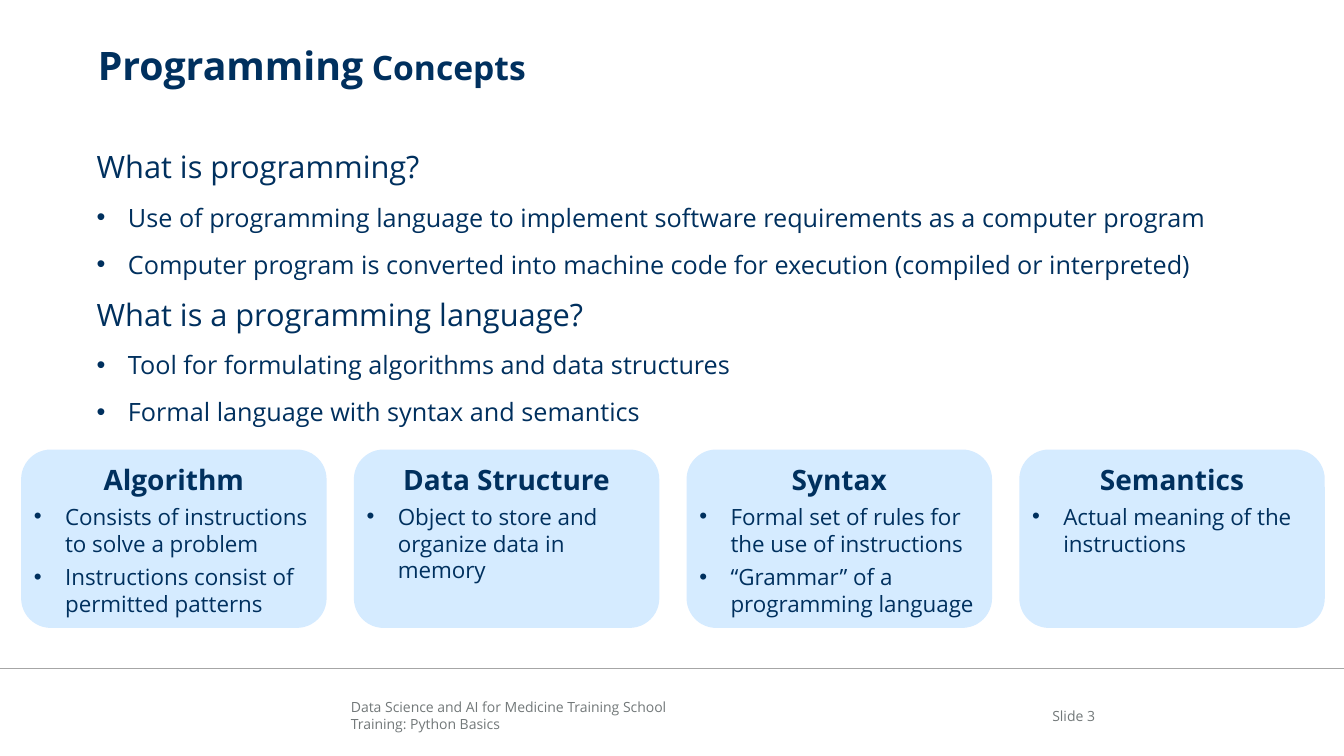
from lxml import etree
from pptx import Presentation
from pptx.dml.color import RGBColor
from pptx.enum.shapes import MSO_CONNECTOR, MSO_SHAPE
from pptx.enum.text import MSO_ANCHOR, PP_ALIGN
from pptx.oxml.ns import qn
from pptx.util import Inches, Pt

LEFT, CENTER, RIGHT = PP_ALIGN.LEFT, PP_ALIGN.CENTER, PP_ALIGN.RIGHT
TOP, MIDDLE = MSO_ANCHOR.TOP, MSO_ANCHOR.MIDDLE
NAVY, GRAY, RULE_GRAY, PALE_BLUE = "00305E", "727879", "A6A6A6", "D5EBFF"


def color(hex_code):
    return RGBColor.from_string(hex_code)


def write(shape, runs, size=18, hex_code=NAVY, bold=False, align=LEFT,
          before=0, bullet=False, inset=0, anchor=TOP, first=False):
    frame = shape.text_frame
    frame.word_wrap = True
    frame.vertical_anchor = anchor
    frame.margin_left = frame.margin_right = Inches(inset)
    frame.margin_top = frame.margin_bottom = Inches(inset)
    paragraph = frame.paragraphs[0] if first else frame.add_paragraph()
    paragraph.alignment = align
    paragraph.space_before = Pt(0 if first else before)
    if bullet:
        properties = paragraph._p.get_or_add_pPr()
        properties.set("marL", str(Inches(0.31)))
        properties.set("indent", str(-Inches(0.31)))
        etree.SubElement(properties, qn("a:buFont")).set("typeface", "Arial")
        etree.SubElement(properties, qn("a:buChar")).set("char", "•")
    for text, run_size in [(runs, size)] if isinstance(runs, str) else runs:
        run = paragraph.add_run()
        run.text = text
        run.font.name = "Open Sans"
        run.font.size = Pt(run_size)
        run.font.bold = bold
        run.font.color.rgb = color(hex_code)


presentation = Presentation()
presentation.slide_width = Inches(13.33)
presentation.slide_height = Inches(7.5)
slide = presentation.slides.add_slide(presentation.slide_layouts[6])
shapes = slide.shapes

footer_rule = shapes.add_connector(
    MSO_CONNECTOR.STRAIGHT, Inches(0), Inches(6.63), Inches(13.33), Inches(6.63))
footer_rule.line.color.rgb = color(RULE_GRAY)
footer_rule.line.width = Pt(1)
etree.SubElement(footer_rule._element.spPr, qn("a:effectLst"))

slide_number = shapes.add_textbox(Inches(9.95), Inches(6.85), Inches(0.91), Inches(0.5))
write(slide_number, "Slide 3", size=10, hex_code=GRAY, align=RIGHT, anchor=MIDDLE, first=True)

footer = shapes.add_textbox(Inches(3.48), Inches(6.93), Inches(6.21), Inches(0.34))
footer_lines = ["Data Science and AI for Medicine Training School", "Training: Python Basics"]
for index, line in enumerate(footer_lines):
    write(footer, line, size=10, hex_code=GRAY, first=index == 0)

title = shapes.add_textbox(Inches(0.97), Inches(0.41), Inches(11.23), Inches(0.89))
write(title, [("Programming", 28), (" Concepts", 24)], bold=True, first=True)

questions = [
    ("What is programming?", [
        "Use of programming language to implement software requirements as a computer program",
        "Computer program is converted into machine code for execution (compiled or interpreted)",
    ]),
    ("What is a programming language?", [
        "Tool for formulating algorithms and data structures",
        "Formal language with syntax and semantics",
    ]),
]
body = shapes.add_textbox(Inches(0.96), Inches(1.47), Inches(11.64), Inches(2.91))
for index, (question, answers) in enumerate(questions):
    write(body, question, size=22, before=12, first=index == 0)
    for answer in answers:
        write(body, answer, before=12, bullet=True)

concepts = [
    ("Algorithm", ["Consists of instructions to solve a problem",
                   "Instructions consist of permitted patterns"]),
    ("Data Structure", ["Object to store and organize data in memory"]),
    ("Syntax", ["Formal set of rules for the use of instructions",
                "“Grammar” of a programming language"]),
    ("Semantics", ["Actual meaning of the instructions"]),
]
for index, (concept, points) in enumerate(concepts):
    card = shapes.add_shape(MSO_SHAPE.ROUNDED_RECTANGLE, Inches(0.21 + 3.3 * index),
                            Inches(4.46), Inches(3.03), Inches(1.77))
    card.shadow.inherit = False
    card.fill.solid()
    card.fill.fore_color.rgb = color(PALE_BLUE)
    card.line.fill.background()
    write(card, concept, size=20, bold=True, align=CENTER, inset=0.04, first=True)
    for point in points:
        write(card, point, size=16, before=5, bullet=True, inset=0.04)

presentation.save("out.pptx")
